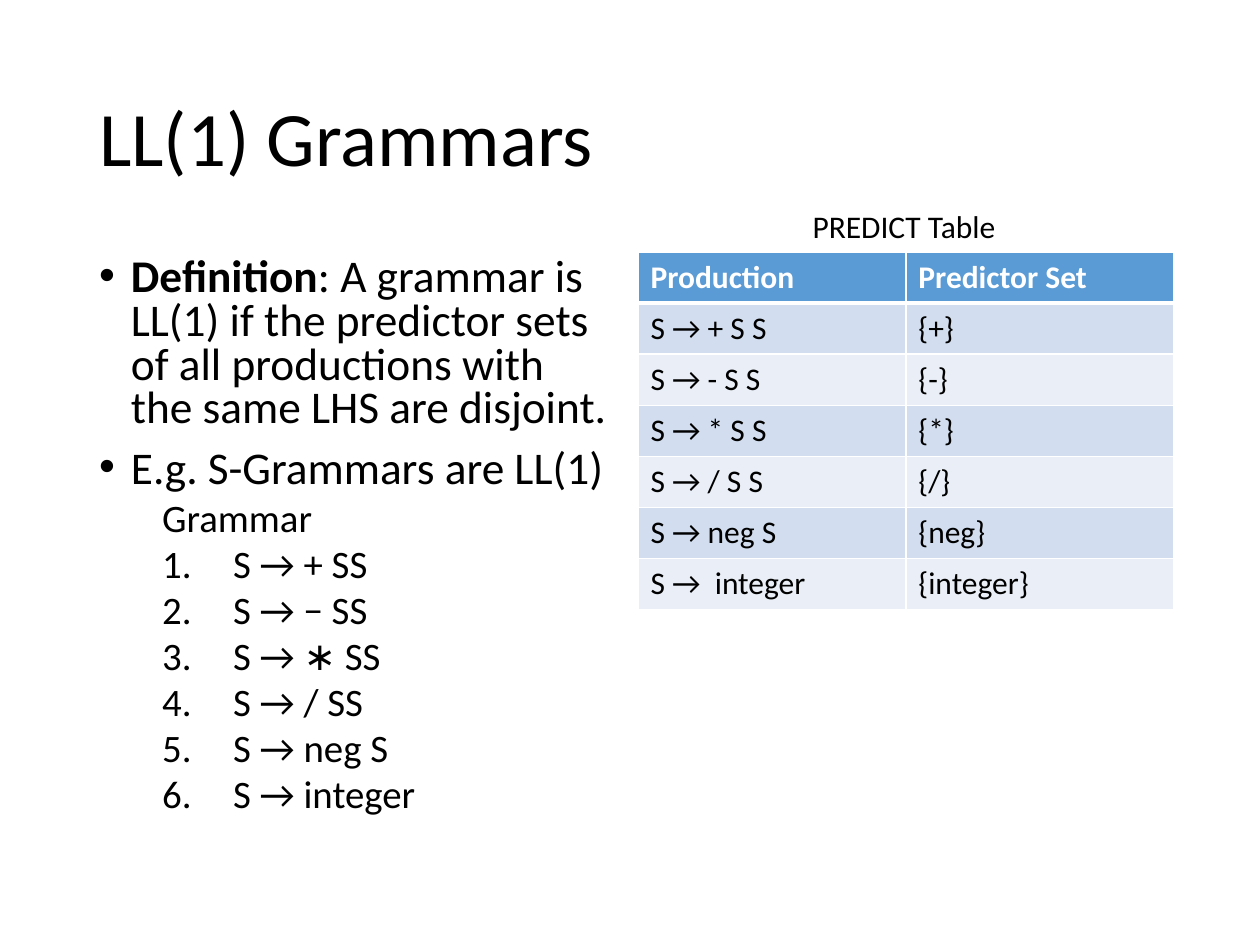
from typing import NamedTuple

from lxml.etree import SubElement
from pptx import Presentation
from pptx.dml.color import RGBColor
from pptx.enum.text import MSO_ANCHOR
from pptx.oxml.ns import qn
from pptx.util import Cm, Pt

BLACK = RGBColor(0x00, 0x00, 0x00)
WHITE = RGBColor(0xFF, 0xFF, 0xFF)
BLUE = RGBColor(0x5B, 0x9B, 0xD5)
BANDS = RGBColor(0xD2, 0xDE, 0xEF), RGBColor(0xEA, 0xEF, 0xF7)
FONT = "Calibri"


class Box(NamedTuple):
    left: float
    top: float
    width: float
    height: float

    def size(self) -> tuple:
        return tuple(Cm(n) for n in self)


class Style(NamedTuple):
    size: float
    level: int = 0
    left: float = 0
    indent: float = 0
    space: float = 0
    mark: tuple = ()


class Words(NamedTuple):
    text: str
    bold: bool = False


class Line(NamedTuple):
    style: Style
    words: list


POINT = Style(25.9, 0, 0.64, -0.64, 10, ("a:buChar", {"char": "•"}))
LABEL = Style(22.2, 1, 1.27, 0, 5)
RULE = Style(22.2, 1, 2.7, -1.43, 5, ("a:buAutoNum", {"type": "arabicPeriod"}))

RULES = ["S → + SS", "S → − SS", "S → ∗ SS", "S → / SS", "S → neg S", "S → integer"]
BODY = [
    Line(POINT, [Words("Definition", True),
                 Words(": A grammar is LL(1) if the predictor sets of all "
                       "productions with the same LHS are disjoint.")]),
    Line(POINT, [Words("E.g. S-Grammars are LL(1)")]),
    Line(LABEL, [Words("Grammar")]),
    *(Line(RULE, [Words(rule)]) for rule in RULES),
]
TABLE = [
    ("Production", "Predictor Set"),
    ("S → + S S", "{+}"),
    ("S → - S S", "{-}"),
    ("S → * S S", "{*}"),
    ("S → / S S", "{/}"),
    ("S → neg S", "{neg}"),
    ("S →  integer", "{integer}"),
]


def add_run(para, words: Words, size: float, color: RGBColor = BLACK) -> None:
    run = para.add_run()
    run.text = words.text
    font = run.font
    font.name, font.size, font.bold = FONT, Pt(size), words.bold
    font.color.rgb = color


def add_box(slide, box: Box, wrap: bool = True):
    frame = slide.shapes.add_textbox(*box.size()).text_frame
    frame.word_wrap = wrap
    return frame


def set_style(para, style: Style, first: bool) -> None:
    """Set level, indents, bullet and spacing of a body paragraph."""
    para.level = style.level
    props = para._p.get_or_add_pPr()
    props.set("marL", str(Cm(style.left)))
    props.set("indent", str(Cm(style.indent)))
    if style.mark:
        tag, attrs = style.mark
        SubElement(props, qn("a:buFont"), typeface="Arial")
        SubElement(props, qn(tag), attrs)
    para.line_spacing = 0.8
    if not first:
        para.space_before = Pt(style.space)


def add_body(slide, box: Box, lines: list[Line]) -> None:
    frame = add_box(slide, box)
    for i, line in enumerate(lines):
        para = frame.add_paragraph() if i else frame.paragraphs[0]
        set_style(para, line.style, i == 0)
        for words in line.words:
            add_run(para, words, line.style.size)


def add_edge(cell, side: str, width: float) -> None:
    edge = SubElement(cell._tc.get_or_add_tcPr(), qn("a:ln" + side), w=str(Pt(width)))
    fill = SubElement(edge, qn("a:solidFill"))
    SubElement(fill, qn("a:srgbClr"), val=str(WHITE))


def add_grid(slide, box: Box, rows: list[tuple]) -> None:
    grid = slide.shapes.add_table(len(rows), len(rows[0]), *box.size()).table
    for r, row in enumerate(rows):
        head = r == 0
        for c, text in enumerate(row):
            cell = grid.cell(r, c)
            for side in "LRTB":
                thick = (r, side) in ((0, "B"), (1, "T"))
                add_edge(cell, side, 3 if thick else 1)
            cell.fill.solid()
            cell.fill.fore_color.rgb = BLUE if head else BANDS[(r - 1) % 2]
            add_run(cell.text_frame.paragraphs[0], Words(text, head), 18,
                    WHITE if head else BLACK)


def main() -> None:
    deck = Presentation()
    deck.slide_width, deck.slide_height = Cm(25.4), Cm(19.05)
    slide = deck.slides.add_slide(deck.slide_layouts[6])

    title = add_box(slide, Box(1.75, 1.02, 21.9, 3.68))
    title.vertical_anchor = MSO_ANCHOR.MIDDLE
    title.paragraphs[0].line_spacing = 0.9
    add_run(title.paragraphs[0], Words("LL(1) Grammars"), 44)

    add_body(slide, Box(1.75, 5.08, 10.8, 12.09), BODY)
    add_grid(slide, Box(12.86, 5.08, 10.8, 7.21), TABLE)

    label = add_box(slide, Box(16.13, 4.04, 4.24, 1.02), wrap=False)
    add_run(label.paragraphs[0], Words("PREDICT Table"), 18)

    deck.save("out.pptx")


if __name__ == "__main__":
    main()
